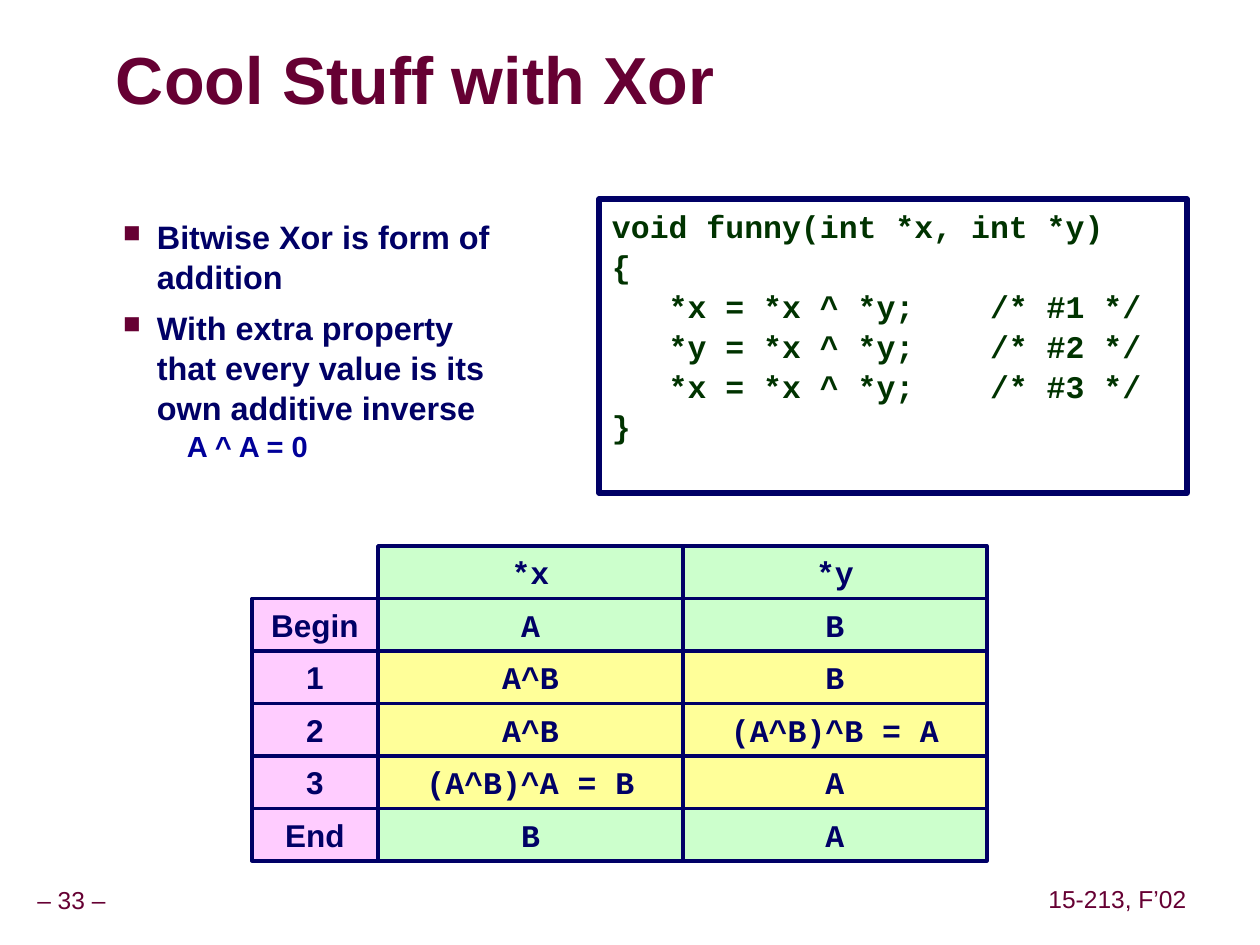
from lxml import etree
from pptx import Presentation
from pptx.dml.color import RGBColor
from pptx.enum.shapes import MSO_SHAPE
from pptx.enum.text import MSO_ANCHOR, PP_ALIGN
from pptx.oxml import parse_xml
from pptx.oxml.ns import nsdecls, qn
from pptx.util import Emu, Pt

RECT = MSO_SHAPE.RECTANGLE
TOP, MIDDLE = MSO_ANCHOR.TOP, MSO_ANCHOR.MIDDLE
LEFT, CENTER = PP_ALIGN.LEFT, PP_ALIGN.CENTER
SCALE = 914400 / 126

THEME = {
    "wine": "660033", "navy": "000066", "blue": "000099", "code": "003300",
    "green": "CCFFCC", "yellow": "FFFF99", "pink": "FFCCFF",
    "sans": "Arial", "mono": "Courier New",
    "title": 38, "body": 18.5, "sub": 16.6, "text": 18, "foot": 14,
}


def px(num):
    return Emu(round(num * SCALE))


def write(shape, lines, face, size, color, bold=True, align=LEFT,
          anchor=TOP, inset=(13, 6), wrap=True):
    """Fill a shape with one styled paragraph per line."""
    frame = shape.text_frame
    frame.word_wrap = wrap
    frame.vertical_anchor = anchor
    frame.margin_left = frame.margin_right = px(inset[0])
    frame.margin_top = frame.margin_bottom = px(inset[1])
    for i, line in enumerate(lines):
        para = frame.paragraphs[0] if i == 0 else frame.add_paragraph()
        para.alignment = align
        run = para.add_run()
        run.text = line
        run.font.name = THEME[face]
        run.font.size = Pt(THEME[size])
        run.font.bold = bold
        run.font.color.rgb = RGBColor.from_string(THEME[color])
    return frame.paragraphs


deck = Presentation()
deck.slide_width, deck.slide_height = px(1260), px(945)
slide = deck.slides.add_slide(deck.slide_layouts[6])
shapes = slide.shapes

# Footer
for label, left, top, width in [("– 33 –", -11, 882, 165),
                                ("15-213, F’02", 1042, 881, 151)]:
    foot = shapes.add_textbox(px(left), px(top), px(width), px(39))
    paras = write(foot, [label], "sans", "foot", "wine", bold=False,
                  align=CENTER, anchor=MIDDLE, inset=(6, 6), wrap=False)
    paras[0].line_spacing = 0.9

# Title with its text shadow
title = shapes.add_textbox(px(116), px(44), px(810), px(79))
paras = write(title, ["Cool Stuff with Xor"], "sans", "title", "wine",
              anchor=MIDDLE, inset=(0, 0))
paras[0].line_spacing = 0.87
shadow = parse_xml(
    f'<a:effectLst {nsdecls("a")}><a:outerShdw dist="38100" dir="2700000">'
    '<a:srgbClr val="999999"/></a:outerShdw></a:effectLst>')
paras[0].runs[0].font._element.find(qn("a:solidFill")).addnext(shadow)

# Code panel
panel = shapes.add_shape(RECT, px(599), px(199), px(588), px(294))
panel.shadow.inherit = False
panel.fill.background()
panel.line.color.rgb = RGBColor.from_string(THEME["navy"])
panel.line.width = Pt(3)
code = [
    "void funny(int *x, int *y)",
    "{",
    "   *x = *x ^ *y;    /* #1 */",
    "   *y = *x ^ *y;    /* #2 */",
    "   *x = *x ^ *y;    /* #3 */",
    "}",
]
for para in write(panel, code, "mono", "text", "code"):
    para.line_spacing = 1.06

# Bullets and the formula below them
body = shapes.add_textbox(px(42), px(210), px(464), px(273))
points = [
    "Bitwise Xor is form of addition",
    "With extra property that every value is its own additive inverse",
    "A ^ A = 0",
]
paras = write(body, points, "sans", "body", "navy")
for para in paras[:2]:
    para.line_spacing = 1.03
    props = para._p.get_or_add_pPr()
    props.set("marL", str(px(102)))
    props.set("indent", str(px(-34)))
    tint = etree.SubElement(props, qn("a:buClr"))
    etree.SubElement(tint, qn("a:srgbClr"), val=THEME["wine"])
    etree.SubElement(props, qn("a:buSzPct"), val="75000")
    etree.SubElement(props, qn("a:buChar"), char="■")
paras[1].space_before = Pt(6.2)
note = paras[2]
note.space_before = Pt(2.2)
note.line_spacing = 0.97
note._p.get_or_add_pPr().set("marL", str(px(157)))
note._p.get_or_add_pPr().set("indent", str(px(-25)))
note.runs[0].font.size = Pt(THEME["sub"])
note.runs[0].font.color.rgb = RGBColor.from_string(THEME["blue"])

# Trace grid: step label, *x and *y, with the row's fill
rows = [
    ("", "*x", "*y", "green"),
    ("Begin", "A", "B", "green"),
    ("1", "A^B", "B", "yellow"),
    ("2", "A^B", "(A^B)^B = A", "yellow"),
    ("3", "(A^B)^A = B", "A", "yellow"),
    ("End", "B", "A", "green"),
]
for i, (step, x, y, tone) in enumerate(rows):
    cells = [(step, 252, 126, "pink", "sans"),
             (x, 378, 305, tone, "mono"),
             (y, 683, 304, tone, "mono")]
    for label, left, width, fill, face in cells:
        if not label:
            continue
        cell = shapes.add_shape(RECT, px(left), px(546 + 52.5 * i),
                                px(width), px(52.5))
        cell.shadow.inherit = False
        cell.fill.solid()
        cell.fill.fore_color.rgb = RGBColor.from_string(THEME[fill])
        cell.line.color.rgb = RGBColor.from_string(THEME["navy"])
        cell.line.width = Pt(2)
        write(cell, [label], face, "text", "navy", align=CENTER,
              anchor=MIDDLE, wrap=False)

deck.save("out.pptx")
